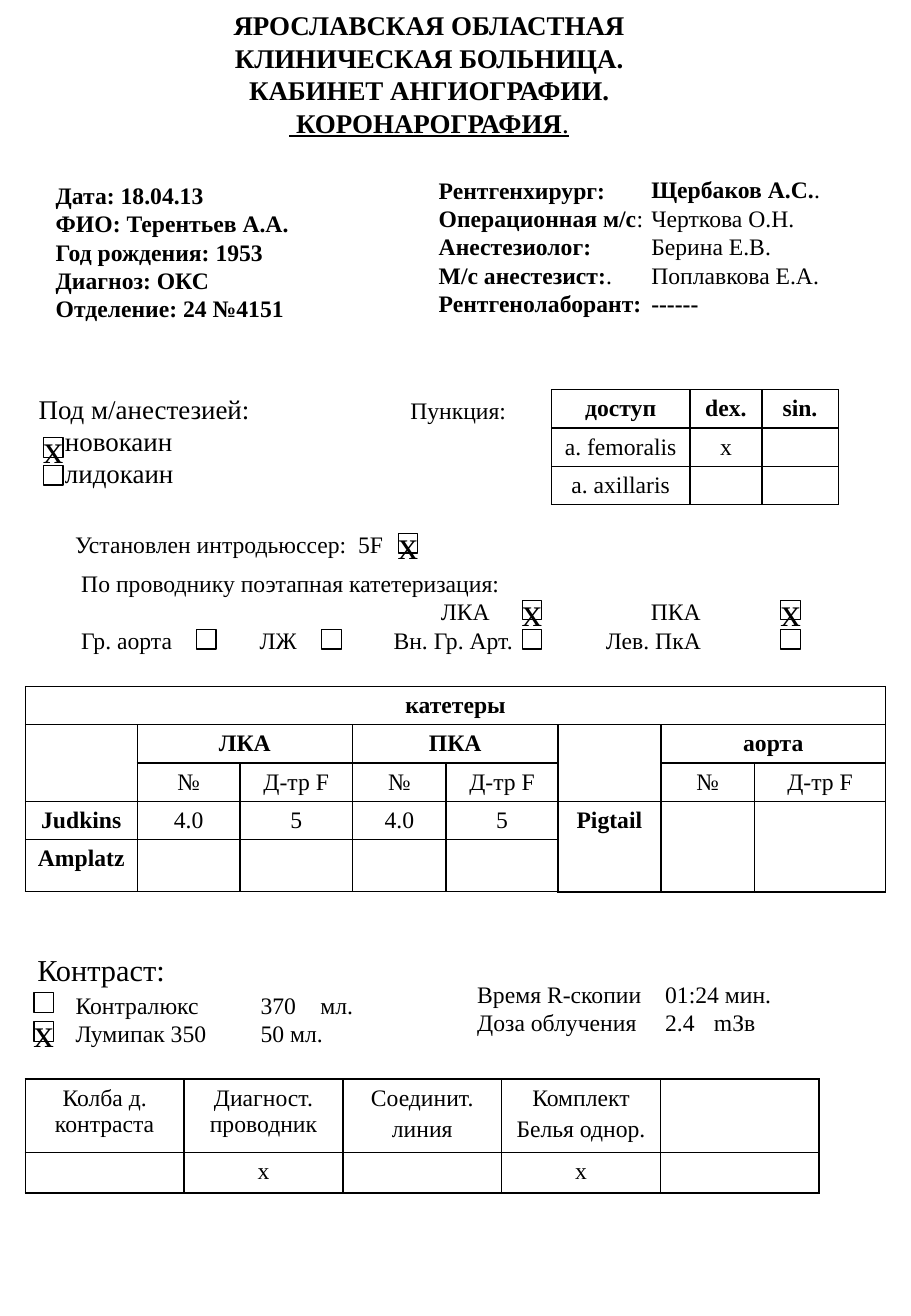
from dataclasses import dataclass

from lxml import etree
from pptx import Presentation
from pptx.dml.color import RGBColor
from pptx.enum.shapes import MSO_SHAPE
from pptx.enum.text import MSO_ANCHOR, MSO_AUTO_SIZE, PP_ALIGN
from pptx.oxml.ns import qn
from pptx.util import Cm, Pt

BLACK = RGBColor(0, 0, 0)
FONT_NAME = "Times New Roman"
CENTER, LEFT = PP_ALIGN.CENTER, PP_ALIGN.LEFT
TOP, MIDDLE = MSO_ANCHOR.TOP, MSO_ANCHOR.MIDDLE
NO_FIT = MSO_AUTO_SIZE.NONE
RECTANGLE = MSO_SHAPE.RECTANGLE
CHECK_SIZE = 0.41


@dataclass
class Box:
    left: float
    top: float
    width: float
    height: float

    def lengths(self):
        return Cm(self.left), Cm(self.top), Cm(self.width), Cm(self.height)


def style(font, size, bold=False):
    font.name, font.size, font.bold = FONT_NAME, Pt(size), bold
    font.color.rgb = BLACK


def remove_bullet(para):
    properties = para._p.get_or_add_pPr()
    properties.set("marL", "0")
    properties.set("indent", "0")
    etree.SubElement(properties, qn("a:buNone"))


def write_lines(shape, box, lines, size, align=LEFT):
    shape.left, shape.top, shape.width, shape.height = box.lengths()
    frame = shape.text_frame
    frame.auto_size, frame.word_wrap = NO_FIT, True
    frame.vertical_anchor = TOP
    for index, spans in enumerate(lines):
        para = frame.paragraphs[0] if index == 0 else frame.add_paragraph()
        para.alignment = align
        para.space_before = Pt(0)
        remove_bullet(para)
        for text, bold in spans:
            span = para.add_run()
            span.text = text
            style(span.font, size, bold)
    return frame


def add_columns(page, box, columns, size=14):
    for offset, lines in columns:
        place = Box(box.left + offset, box.top, box.width - offset, box.height)
        shape = page.shapes.add_textbox(*place.lengths())
        write_lines(shape, place, [[(line, False)] for line in lines], size)


def add_checkbox(page, box, left, top, checked=False):
    place = Box(box.left + left, box.top + top, CHECK_SIZE, CHECK_SIZE)
    square = page.shapes.add_shape(RECTANGLE, *place.lengths())
    square.shadow.inherit = False
    square.fill.background()
    square.line.color.rgb, square.line.width = BLACK, Pt(0.75)
    if checked:
        frame = square.text_frame
        frame.word_wrap, frame.vertical_anchor = False, MIDDLE
        frame.text = "х"
        frame.paragraphs[0].alignment = CENTER
        style(frame.paragraphs[0].runs[0].font, 24)


def set_borders(cell, widths):
    properties = cell._tc.get_or_add_tcPr()
    for position, (side, width) in enumerate(zip("LRTB", widths)):
        line = etree.Element(qn(f"a:ln{side}"), w=str(Pt(width)))
        fill = etree.SubElement(line, qn("a:solidFill"))
        etree.SubElement(fill, qn("a:srgbClr"), val=str(BLACK))
        properties.insert(position, line)


def add_grid(page, box, columns, heights, rows, bold_texts=(), merges=(), outer=0.75):
    shape = page.shapes.add_table(len(heights), len(columns), *box.lengths())
    table = shape.table
    table.first_row = table.horz_banding = False
    for column, width in zip(table.columns, columns):
        column.width = Cm(width)
    for row, height in zip(table.rows, heights):
        row.height = Cm(height)
    last_row, last_column = len(heights) - 1, len(columns) - 1
    for y, texts in enumerate(rows):
        for x, text in enumerate(texts):
            cell = table.cell(y, x)
            cell.fill.background()
            edges = (x == 0, x == last_column, y == 0, y == last_row)
            set_borders(cell, [outer if edge else 1 for edge in edges])
            cell.text_frame.text = text
            for index, para in enumerate(cell.text_frame.paragraphs):
                para.alignment = CENTER
                para.space_before = Pt(2.8 if index else 0)
                for span in para.runs:
                    style(span.font, 14, text in bold_texts)
                if not text:
                    ending = etree.SubElement(para._p, qn("a:endParaRPr"), sz="1400")
                    etree.SubElement(ending, qn("a:latin"), typeface=FONT_NAME)
    for y, x, end_y, end_x in merges:
        table.cell(y, x).merge(table.cell(end_y, end_x))


def add_header(page, box):
    lines = ["ЯРОСЛАВСКАЯ ОБЛАСТНАЯ", "КЛИНИЧЕСКАЯ БОЛЬНИЦА.", "КАБИНЕТ АНГИОГРАФИИ."]
    spans = [[(line, True)] for line in lines]
    spans.append([(" КОРОНАРОГРАФИЯ", True), (".", False)])
    frame = write_lines(page.shapes.title, box, spans, 16, CENTER)
    for span in frame.paragraphs[-1].runs:
        span.font.underline = True


def add_patient(page, box):
    lines = ["Дата: 18.04.13", "ФИО: Терентьев А.А.", "Год рождения: 1953",
             "Диагноз: ОКС", "Отделение: 24 №4151"]
    write_lines(page.placeholders[1], box, [[(line, True)] for line in lines], 14)


def add_staff(page, box):
    roles = [
        [("Рентгенхирург:", True)],
        [("Операционная м/с", True), (":", False)],
        [("Анестезиолог:", True)],
        [("М/с анестезист:", True), (".", False)],
        [("Рентгенолаборант:", True)],
    ]
    names = [
        [("Щербаков А.С.", True), (".", False)],
        [("Черткова О.Н.", False)],
        [("Берина Е.В.", False)],
        [("Поплавкова Е.А.", False)],
        [("------", True)],
    ]
    write_lines(page.placeholders[2], Box(box.left, box.top, 5, box.height), roles, 14)
    place = Box(box.left + 4.45, box.top, box.width - 4.45, box.height)
    write_lines(page.shapes.add_textbox(*place.lengths()), place, names, 14)


def add_anesthesia(page, box):
    add_columns(page, box, [(0, ["Под м/анестезией:"])], 16)
    choices = Box(box.left, box.top + 0.67, box.width, 1.6)
    add_columns(page, choices, [(0.55, ["новокаин", "лидокаин"])], 16)
    add_checkbox(page, box, 0.35, 1.07, True)
    add_checkbox(page, box, 0.35, 1.65)


def add_access(page, box):
    add_columns(page, Box(box.left, box.top, 3, 0.84), [(0, ["Пункция:"])])
    heads = ["доступ", "dex.", "sin."]
    rows = [heads, ["a. femoralis", "х", ""], ["a. axillaris", "", ""]]
    grid = Box(box.left + 3.2, box.top, box.width - 3.2, box.height)
    add_grid(page, grid, [2.9, 1.5, 1.6], [0.8] * 3, rows, heads)


def add_catheterization(page, box):
    lines = [
        (0, 0, [(0, ["Установлен интродьюссер:"]), (5.92, ["5F"])]),
        (0.13, 0.81, [(0, ["По проводнику поэтапная катетеризация:"])]),
        (0.13, 1.4, [(7.52, ["ЛКА"]), (11.91, ["ПКА"])]),
        (0.13, 2, [(0, ["Гр. аорта"]), (3.73, ["ЛЖ"]),
                   (6.53, ["Вн. Гр. Арт."]), (10.97, ["Лев. ПкА"])]),
    ]
    for left, top, columns in lines:
        place = Box(box.left + left, box.top + top, box.width - left, 0.84)
        add_columns(page, place, columns)
    add_checkbox(page, box, 7.01, 0.2, True)
    for left in (9.6, 15.01):
        add_checkbox(page, box, left, 1.6, True)
    for left in (2.79, 5.41, 9.6, 15.01):
        add_checkbox(page, box, left, 2.21)


def add_catheters(page, box):
    rows = [
        ["катетеры"] + [""] * 7,
        ["", "ЛКА", "", "ПКА", "", "", "аорта", ""],
        ["", "№", "Д-тр F", "№", "Д-тр F", "", "№", "Д-тр F"],
        ["Judkins", "4.0", "5", "4.0", "5", "Pigtail", "", ""],
        ["Amplatz"] + [""] * 7,
    ]
    merges = [(0, 0, 0, 7), (1, 0, 2, 0), (1, 5, 2, 5)]
    merges += [(1, x, 1, x + 1) for x in (1, 3, 6)]
    merges += [(3, x, 4, x) for x in (5, 6, 7)]
    columns = [2.34, 2.15, 2.35, 1.96, 2.34, 2.15, 1.96, 2.74]
    bold = ["катетеры", "ЛКА", "ПКА", "аорта", "Judkins", "Amplatz", "Pigtail"]
    add_grid(page, box, columns, [0.8] * 4 + [1.09], rows, bold, merges)


def add_contrast(page, box):
    add_columns(page, Box(box.left, box.top, 9.45, 0.9), [(0, ["Контраст:"])], 18)
    add_columns(page, Box(box.left, box.top + 0.83, 9.45, 1.5),
                [(0.8, ["Контралюкс", "Лумипак 350"]), (4.67, ["370", "50 мл."]),
                 (5.92, ["мл."])])
    add_checkbox(page, box, 0.18, 0.99)
    add_checkbox(page, box, 0.18, 1.6, True)
    add_columns(page, Box(box.left + 9.2, box.top + 0.59, 7.92, 1.45),
                [(0, ["Время R-скопии", "Доза облучения"]),
                 (3.93, ["01:24 мин.", "2.4"])])
    add_columns(page, Box(box.left + 9.2, box.top + 1.18, 7.92, 0.84), [(4.95, ["mЗв"])])


def add_supplies(page, box):
    rows = [["Колба д. контраста", "Диагност. проводник", "Соединит.\nлиния",
             "Комплект\nБелья однор.", ""], ["", "х", "", "х", ""]]
    add_grid(page, box, [box.width / 5] * 5, [1.53, 0.85], rows, outer=1)


def main():
    deck = Presentation()
    deck.slide_width, deck.slide_height = Cm(19.05), Cm(27.51)
    page = deck.slides.add_slide(deck.slide_layouts[3])
    add_header(page, Box(0.4, 0.06, 17.15, 3.4))
    add_patient(page, Box(0.91, 3.65, 6.6, 3.2))
    add_staff(page, Box(8.92, 3.54, 9.53, 3.25))
    add_anesthesia(page, Box(0.56, 8.08, 6.5, 0.95))
    add_access(page, Box(8.33, 8.15, 9.2, 2.4))
    add_catheterization(page, Box(1.32, 10.95, 17.7, 2.85))
    add_catheters(page, Box(0.53, 14.35, 17.99, 4.29))
    add_contrast(page, Box(0.53, 19.76, 17.12, 2.33))
    add_supplies(page, Box(0.53, 22.56, 16.6, 2.38))
    deck.save("out.pptx")


if __name__ == "__main__":
    main()
